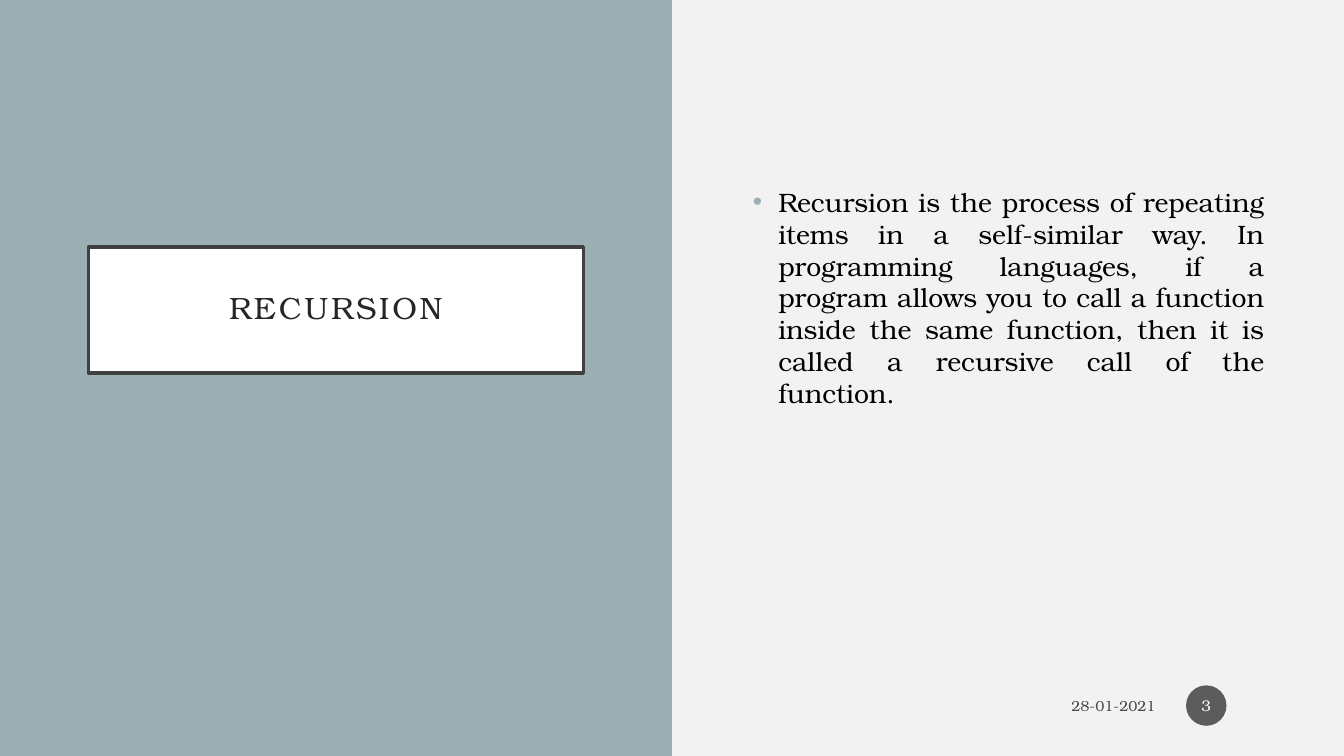
from dataclasses import dataclass
from typing import NamedTuple

from lxml.etree import SubElement
from pptx import Presentation
from pptx.dml.color import RGBColor
from pptx.enum.shapes import MSO_SHAPE
from pptx.enum.text import MSO_ANCHOR, PP_ALIGN
from pptx.oxml.ns import qn
from pptx.util import Cm, Pt


@dataclass(frozen=True)
class Theme:
    font: str = "TeX Gyre Bonum"
    background: str = "F2F2F2"
    accent: str = "9BAFB5"
    white: str = "FFFFFF"
    frame: str = "404040"
    heading: str = "262626"
    ink: str = "000000"
    badge: str = "1D1D1D"
    muted_alpha: int = 70
    heading_size: float = 22
    body_size: float = 19
    date_size: float = 10.5
    number_size: float = 11


class Box(NamedTuple):
    """A region in centimetres."""
    left: float
    top: float
    width: float
    height: float

    def lengths(self):
        return [Cm(value) for value in self]


THEME = Theme()
SLIDE = Box(0, 0, 33.87, 19.05)


def paint(fill, color):
    fill.solid()
    fill.fore_color.rgb = RGBColor.from_string(color)


def set_alpha(properties, percent):
    """Make the solid fill held by an XML properties element translucent."""
    color = properties.find(qn("a:solidFill")).find(qn("a:srgbClr"))
    SubElement(color, qn("a:alpha"), val=str(percent * 1000))


def add_block(slide, preset, box, color, outline=None):
    block = slide.shapes.add_shape(preset, *box.lengths())
    block.shadow.inherit = False
    paint(block.fill, color)
    if outline:
        paint(block.line.fill, outline)
        block.line.width = Pt(2.5)
    else:
        block.line.fill.background()
    return block


def write(holder, text, *, size, color, align, anchor=MSO_ANCHOR.MIDDLE,
          margins=(0.25, 0.13, 0.25, 0.13), line_spacing=None,
          letter_spacing=None, alpha=None):
    """Fill a shape with one formatted paragraph; margins run left, top, right, bottom."""
    frame = holder.text_frame
    frame.word_wrap = True
    frame.vertical_anchor = anchor
    (frame.margin_left, frame.margin_top,
     frame.margin_right, frame.margin_bottom) = [Cm(margin) for margin in margins]
    paragraph = frame.paragraphs[0]
    paragraph.alignment = align
    if line_spacing:
        paragraph.line_spacing = line_spacing
    run = paragraph.add_run()
    run.text = text
    run.font.name = THEME.font
    run.font.size = Pt(size)
    paint(run.font.fill, color)
    properties = run.font._element
    if letter_spacing:
        properties.set("spc", str(letter_spacing * 100))
    if alpha:
        set_alpha(properties, alpha)
    return paragraph


def add_bullet(paragraph, color, indent):
    properties = paragraph._p.get_or_add_pPr()
    properties.set("marL", str(Cm(indent)))
    properties.set("indent", str(-Cm(indent)))
    bullet_color = SubElement(properties, qn("a:buClr"))
    SubElement(bullet_color, qn("a:srgbClr"), val=color)
    SubElement(properties, qn("a:buFont"), typeface="Arial")
    SubElement(properties, qn("a:buChar"), char="•")


def add_title_panel(slide, box, title):
    add_block(slide, MSO_SHAPE.RECTANGLE, box, THEME.accent)
    width, height = 12.47, 3.18
    title_box = Box(box.left + (box.width - width) / 2, box.top + 6.22, width, height)
    plate = add_block(slide, MSO_SHAPE.RECTANGLE, title_box, THEME.white, THEME.frame)
    write(plate, title, size=THEME.heading_size, color=THEME.heading,
          align=PP_ALIGN.CENTER, margins=(0.51,) * 4, line_spacing=0.9,
          letter_spacing=2)


def add_definition(slide, box, definition):
    body_box = Box(box.left + 1.79, box.top + 2.24, 13.39, 14.58)
    body = slide.shapes.add_textbox(*body_box.lengths())
    paragraph = write(body, definition, size=THEME.body_size, color=THEME.ink,
                      align=PP_ALIGN.JUSTIFY, anchor=MSO_ANCHOR.TOP,
                      margins=(0.25, 2.44, 0.25, 0.13))
    add_bullet(paragraph, THEME.accent, 0.64)


def add_footer(slide, box, date, number):
    date_box = Box(box.left, box.top + 0.06, 7.65, 0.89)
    date_line = slide.shapes.add_textbox(*date_box.lengths())
    write(date_line, date, size=THEME.date_size, color=THEME.ink,
          align=PP_ALIGN.RIGHT, alpha=THEME.muted_alpha)
    diameter = box.height
    badge_box = Box(box.left + box.width - diameter, box.top, diameter, diameter)
    badge = add_block(slide, MSO_SHAPE.OVAL, badge_box, THEME.badge)
    set_alpha(badge._element.spPr, THEME.muted_alpha)
    write(badge, number, size=THEME.number_size, color=THEME.white,
          align=PP_ALIGN.CENTER, margins=(0.05, 0.13, 0.05, 0.13))


def main():
    deck = Presentation()
    deck.slide_width, deck.slide_height = Cm(SLIDE.width), Cm(SLIDE.height)
    slide = deck.slides.add_slide(deck.slide_layouts[6])
    paint(slide.background.fill, THEME.background)

    half = SLIDE.width / 2
    add_title_panel(slide, Box(0, 0, half, SLIDE.height), "RECURSION")
    add_definition(
        slide, Box(half, 0, half, SLIDE.height),
        "Recursion is the process of repeating items in a self-similar way. "
        "In programming languages, if a program allows you to call a function "
        "inside the same function, then it is called a recursive call of the "
        "function.")
    add_footer(slide, Box(21.72, 17.27, 9.19, 1.02), "28-01-2021", "3")
    deck.save("out.pptx")


if __name__ == "__main__":
    main()
